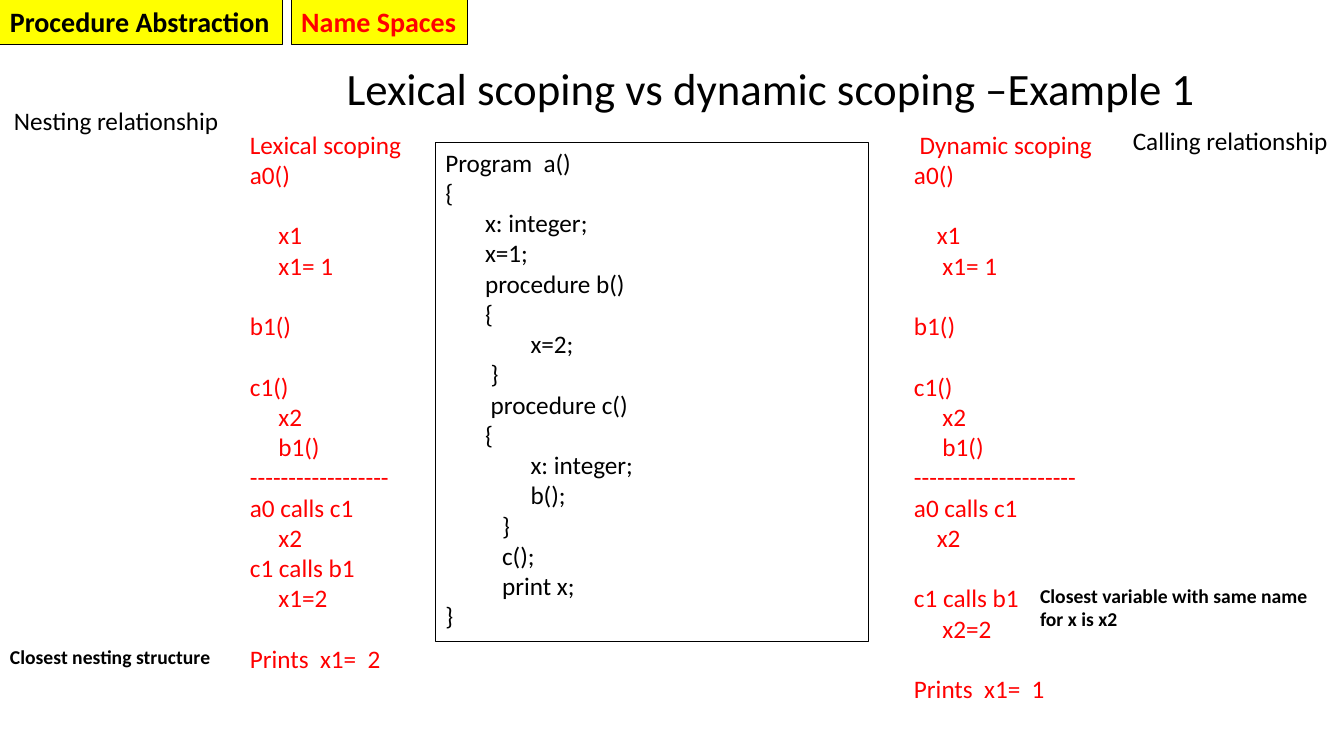
from dataclasses import dataclass

from pptx import Presentation
from pptx.dml.color import RGBColor
from pptx.enum.shapes import MSO_SHAPE as Preset
from pptx.enum.text import MSO_ANCHOR as Anchor, MSO_AUTO_SIZE as AutoSize, PP_ALIGN as Align
from pptx.util import Pt


@dataclass(frozen=True)
class Theme:
    font: str = "Calibri"
    black: str = "000000"
    red: str = "FF0000"
    yellow: str = "FFFF00"
    white: str = "FFFFFF"
    title: int = 32
    tag: int = 20
    body: int = 18
    note: int = 14
    border: float = 0.75
    line_height: float = 21.6  # one body line
    indent_step: float = 4.07  # one indent unit of the traces


THEME = Theme()

# Content
TITLE = "Lexical scoping vs dynamic scoping –Example 1"
CODE = """Program  a()
{
       x: integer;
       x=1;
       procedure b()
       {
               x=2;
        }
        procedure c()
       {
               x: integer;
               b();
          }
          c();
          print x;
}"""
# Trace lines: text, indent units, empty lines above
LEXICAL = [
    ("Lexical scoping", 0, 0), ("a0()", 0, 0),
    ("x1", 5, 1), ("x1= 1", 5, 0),
    ("b1()", 0, 1),
    ("c1()", 0, 1), ("x2", 5, 0), ("b1()", 5, 0),
    ("------------------", 0, 0),
    ("a0 calls c1", 0, 0), ("x2", 5, 0),
    ("c1 calls b1", 0, 0), ("x1=2", 5, 0),
    ("Prints  x1=  2", 0, 1),
]
DYNAMIC = [
    ("Dynamic scoping", 1, 0), ("a0()", 0, 0),
    ("x1", 4, 1), ("x1= 1", 5, 0),
    ("b1()", 0, 1),
    ("c1()", 0, 1), ("x2", 5, 0), ("b1()", 5, 0),
    ("---------------------", 0, 0),
    ("a0 calls c1", 0, 0), ("x2", 4, 0),
    ("c1 calls b1", 0, 1), ("x2=2", 5, 0),
    ("Prints  x1=  1", 0, 1),
]
# Boxes: left, top, width, height
TITLE_BOX = (240.5, 13, 719.5, 104.4)
CODE_BOX = (311, 101.5, 309.6, 356.4)
TRACES = [
    (LEXICAL, (171.4, 88.6, 123.8, 399.6)),
    (DYNAMIC, (645.8, 88.6, 172.8, 421.9)),
]
TAGS = [
    ("Procedure Abstraction", THEME.black, (0, 0, 201.6, 31.7)),
    ("Name Spaces", THEME.red, (208.1, 0, 126, 31.7)),
]
# Labels: text, size, bold, wrap, box
LABELS = [
    ("Closest nesting structure", THEME.note, True, False, (0, 457.2, 159.1, 24.5)),
    ("Closest variable with same name for x is x2", THEME.note, True, True,
     (735.8, 413.3, 223.9, 41)),
    ("Nesting relationship", THEME.body, False, False, (2.9, 72, 162.7, 28.8)),
    ("Calling relationship", THEME.body, False, False, (802.1, 85.7, 155.5, 28.8)),
]

presentation = Presentation()
presentation.slide_width, presentation.slide_height = Pt(960), Pt(540)
slide = presentation.slides.add_slide(presentation.slide_layouts[6])


def add_panel(box, fill=None, line=None):
    shape = slide.shapes.add_shape(Preset.RECTANGLE, *map(Pt, box))
    shape.shadow.inherit = False
    if fill:
        shape.fill.solid()
        shape.fill.fore_color.rgb = RGBColor.from_string(fill)
    else:
        shape.fill.background()
    if line:
        shape.line.color.rgb = RGBColor.from_string(line)
        shape.line.width = Pt(THEME.border)
    else:
        shape.line.fill.background()
    return shape


def add_label(box):
    return slide.shapes.add_textbox(*map(Pt, box))


def write(shape, lines, size, color, bold=False, wrap=True, anchor=Anchor.TOP):
    """Fill a shape with lines given as (text, indent units, empty lines above)."""
    frame = shape.text_frame
    frame.word_wrap = wrap
    frame.auto_size = AutoSize.SHAPE_TO_FIT_TEXT
    frame.vertical_anchor = anchor
    for index, (text, indent, gap) in enumerate(lines):
        paragraph = frame.add_paragraph() if index else frame.paragraphs[0]
        paragraph.alignment = Align.LEFT
        if indent:
            properties = paragraph._p.get_or_add_pPr()
            properties.set("marL", str(int(Pt(indent * THEME.indent_step))))
            properties.set("indent", "0")
        if gap:
            paragraph.space_before = Pt(gap * THEME.line_height)
        run = paragraph.add_run()
        run.text = text
        run.font.name = THEME.font
        run.font.size = Pt(size)
        run.font.bold = bold
        run.font.color.rgb = RGBColor.from_string(color)
    return frame


# Title
title_frame = write(add_label(TITLE_BOX), [(TITLE, 0, 0)], THEME.title, THEME.black,
                    anchor=Anchor.MIDDLE)
title_frame.auto_size = AutoSize.NONE
title_frame.paragraphs[0].line_spacing = 0.9

# Program listing
write(add_panel(CODE_BOX, line=THEME.black),
      [(line, 0, 0) for line in CODE.splitlines()], THEME.body, THEME.black)

# Scoping traces
for trace, box in TRACES:
    write(add_panel(box, fill=THEME.white), trace, THEME.body, THEME.red)

# Topic tags
for text, color, box in TAGS:
    write(add_panel(box, THEME.yellow, THEME.black), [(text, 0, 0)], THEME.tag, color,
          bold=True, wrap=False)

# Labels beside the traces
for text, size, bold, wrap, box in LABELS:
    write(add_label(box), [(text, 0, 0)], size, THEME.black, bold, wrap)

presentation.save("out.pptx")
